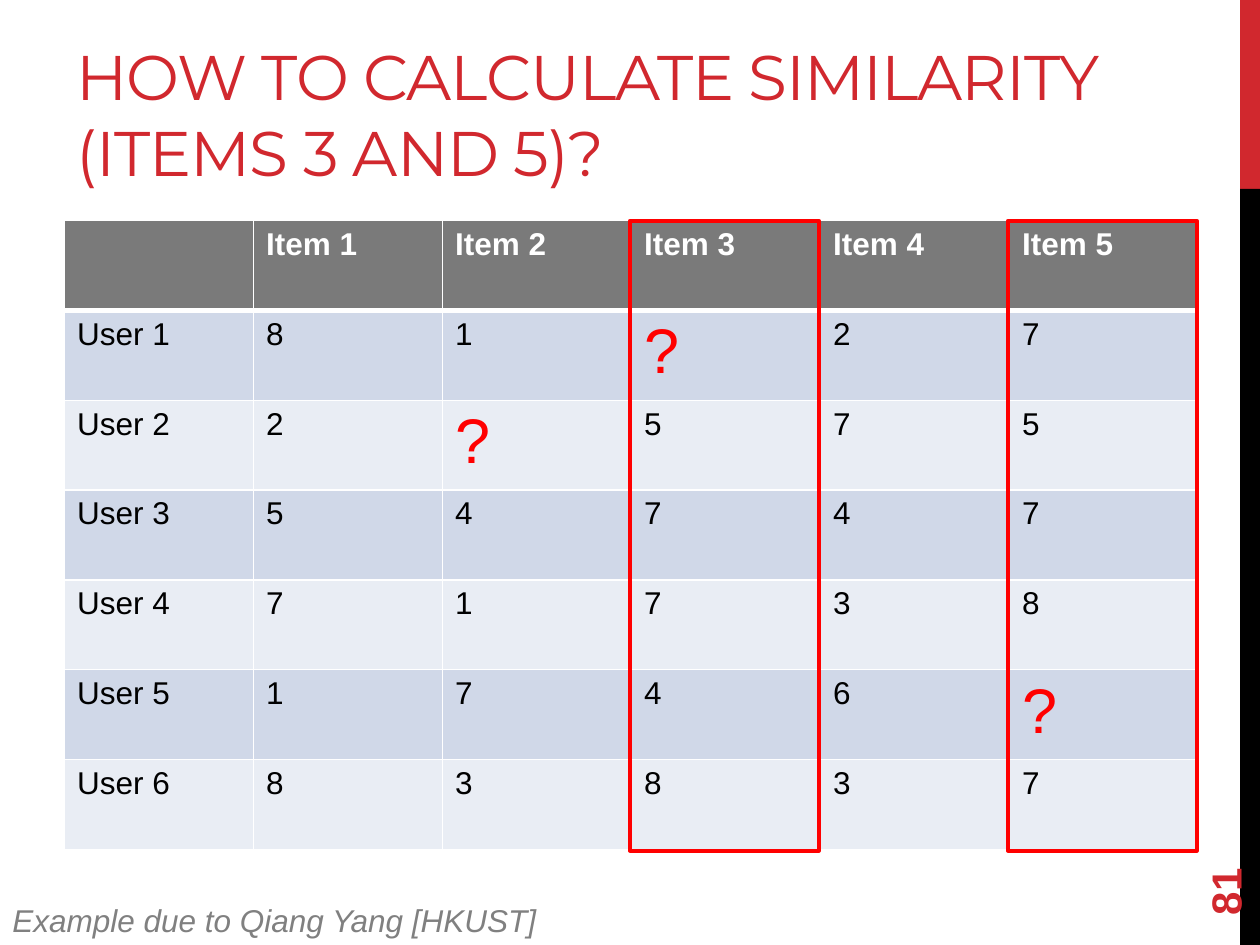
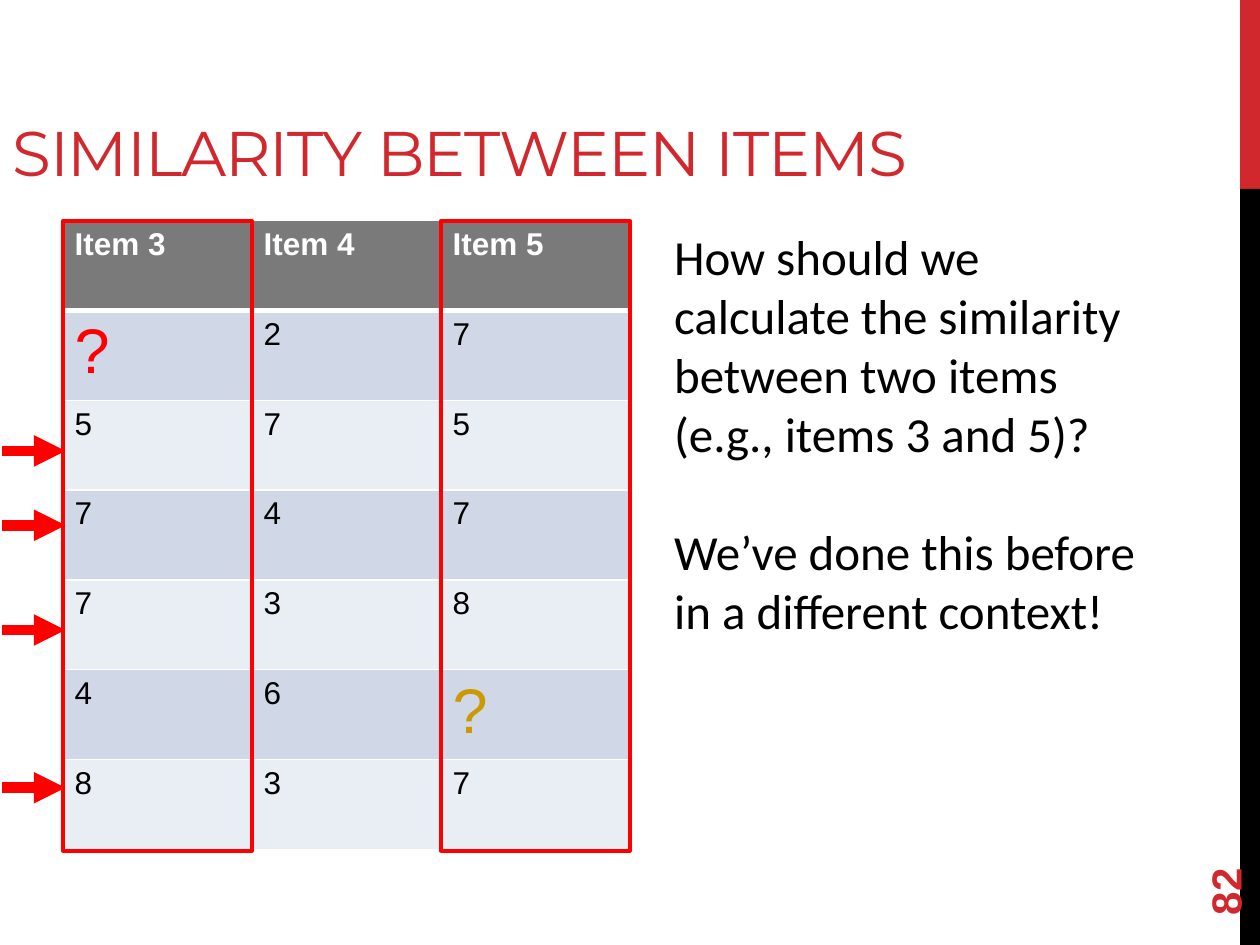
from pptx import Presentation
from pptx.dml.color import RGBColor
from pptx.enum.shapes import MSO_CONNECTOR, MSO_SHAPE
from pptx.enum.text import MSO_ANCHOR, MSO_AUTO_SIZE
from pptx.oxml.ns import qn
from pptx.util import Cm, Pt
from lxml import etree

STRAIGHT = MSO_CONNECTOR.STRAIGHT
RECTANGLE = MSO_SHAPE.RECTANGLE
TOP, MIDDLE, BOTTOM = MSO_ANCHOR.TOP, MSO_ANCHOR.MIDDLE, MSO_ANCHOR.BOTTOM
FIT_SHAPE = MSO_AUTO_SIZE.SHAPE_TO_FIT_TEXT

CRIMSON = RGBColor(0xD1, 0x28, 0x2E)
RED = RGBColor(0xFF, 0x00, 0x00)
GOLD = RGBColor(0xCC, 0x99, 0x00)
BLACK = RGBColor(0x00, 0x00, 0x00)
WHITE = RGBColor(0xFF, 0xFF, 0xFF)
GRAY = RGBColor(0x80, 0x80, 0x80)
HEADER_FILL = RGBColor(0x7A, 0x7A, 0x7A)
BAND_FILLS = RGBColor(0xE9, 0xED, 0xF4), RGBColor(0xD0, 0xD8, 0xE8)

TITLE = {"name": "Montserrat", "size": Pt(36), "color": CRIMSON}
NUMBER = {"name": "Arial", "size": Pt(24), "bold": True, "color": CRIMSON}
CAPTION = {"name": "Arial", "size": Pt(18), "italic": True, "color": GRAY}
BODY = {"name": "Calibri", "size": Pt(28), "color": BLACK}
CELL = {"name": "Arial", "size": Pt(18), "bold": False, "color": BLACK}
HEADER = {**CELL, "bold": True, "color": WHITE}
UNKNOWN = {**CELL, "size": Pt(36), "color": RED}

COLUMN_WIDTH = 3.81
ROW_HEIGHT = 1.81
TABLE_TOP = 4.45
FRAME_HEIGHT = 12.7
BAND_LEFT, BAND_WIDTH, BAND_SPLIT = 25.0, 0.4, 3.81
SLIDE_WIDTH, SLIDE_HEIGHT = 25.4, 19.05

RATINGS = [
    ["", "Item 1", "Item 2", "Item 3", "Item 4", "Item 5"],
    ["User 1", "8", "1", "?", "2", "7"],
    ["User 2", "2", "?", "5", "7", "5"],
    ["User 3", "5", "4", "7", "4", "7"],
    ["User 4", "7", "1", "7", "3", "8"],
    ["User 5", "1", "7", "4", "6", "?"],
    ["User 6", "8", "3", "8", "3", "7"],
]
SHARED_RATING_ARROWS = [9.09, 10.59, 12.7, 15.88]


def format_font(font, style):
    for attribute, value in style.items():
        if attribute == "color":
            font.color.rgb = value
        else:
            setattr(font, attribute, value)


def add_text(slide, box, paragraphs, style, anchor=TOP, wrap=True, gap=0):
    shape = slide.shapes.add_textbox(*map(Cm, box))
    frame = shape.text_frame
    frame.word_wrap = wrap
    frame.vertical_anchor = anchor
    for index, text in enumerate(paragraphs):
        paragraph = frame.paragraphs[0] if index == 0 else frame.add_paragraph()
        if index:
            paragraph.space_before = Pt(gap)
        run = paragraph.add_run()
        run.text = text
        format_font(run.font, style)
    return shape


def add_title(slide, left, text):
    shape = add_text(slide, (left, 0.76, 22.86, 3.18), [text], TITLE, BOTTOM)
    run = shape.text_frame.paragraphs[0].runs[0]
    run.font._element.set("spc", "-60")


def add_rectangle(slide, box, fill=None, line=None):
    shape = slide.shapes.add_shape(RECTANGLE, *map(Cm, box))
    shape.shadow.inherit = False
    if fill is None:
        shape.fill.background()
    else:
        shape.fill.solid()
        shape.fill.fore_color.rgb = fill
    if line is None:
        shape.line.fill.background()
    else:
        shape.line.color.rgb = line
        shape.line.width = Pt(2.25)


def add_column_frame(slide, left):
    add_rectangle(slide, (left, TABLE_TOP, COLUMN_WIDTH, FRAME_HEIGHT), line=RED)


def add_side_band(slide):
    add_rectangle(slide, (BAND_LEFT, 0, BAND_WIDTH, BAND_SPLIT), CRIMSON)
    add_rectangle(slide, (BAND_LEFT, BAND_SPLIT, BAND_WIDTH, SLIDE_HEIGHT - BAND_SPLIT), BLACK)


def add_slide_number(slide, number):
    shape = add_text(slide, (22.86, 16.36, 3.66, 1.02), [str(number)], NUMBER, MIDDLE)
    shape.rotation = 270


def set_cell_borders(cell, row):
    properties = cell._tc.get_or_add_tcPr()
    widths = {"lnL": 1, "lnR": 1, "lnT": 3 if row == 1 else 1, "lnB": 3 if row == 0 else 1}
    for side, points in widths.items():
        border = etree.SubElement(properties, qn(f"a:{side}"), w=str(Pt(points)))
        fill = etree.SubElement(border, qn("a:solidFill"))
        etree.SubElement(fill, qn("a:srgbClr"), val=str(WHITE))


def cell_style(row, text):
    if row == 0:
        return HEADER
    return UNKNOWN if text == "?" else CELL


def add_ratings_table(slide, left, ratings):
    rows, columns = len(ratings), len(ratings[0])
    box = (left, TABLE_TOP, columns * COLUMN_WIDTH, rows * ROW_HEIGHT)
    table = slide.shapes.add_table(rows, columns, *map(Cm, box)).table
    for row, texts in enumerate(ratings):
        for column, text in enumerate(texts):
            cell = table.cell(row, column)
            set_cell_borders(cell, row)
            cell.fill.solid()
            cell.fill.fore_color.rgb = BAND_FILLS[row % 2] if row else HEADER_FILL
            cell.text = text
            for run in cell.text_frame.paragraphs[0].runs:
                format_font(run.font, cell_style(row, text))
    return table


def add_arrow(slide, top):
    ends = (0.05, top, 1.32, top)
    connector = slide.shapes.add_connector(STRAIGHT, *map(Cm, ends))
    connector.line.color.rgb = RED
    connector.line.width = Pt(6)
    etree.SubElement(connector.line._get_or_add_ln(), qn("a:tailEnd"), type="triangle")
    etree.SubElement(connector._element.spPr, qn("a:effectLst"))


def add_base_slide(presentation, title, title_left, number):
    slide = presentation.slides.add_slide(presentation.slide_layouts[6])
    add_side_band(slide)
    add_title(slide, title_left, title)
    add_slide_number(slide, number)
    return slide


def build_question_slide(presentation):
    title = "HOW TO CALCULATE SIMILARITY (ITEMS 3 AND 5)?"
    slide = add_base_slide(presentation, title, 1.3, 81)
    add_ratings_table(slide, 1.3, RATINGS)
    for column in (3, 5):
        add_column_frame(slide, 1.27 + column * COLUMN_WIDTH)
    caption = add_text(slide, (0, 18.03, 11.18, 1.02),
                       ["Example due to Qiang Yang [HKUST]"], CAPTION, wrap=False)
    caption.text_frame.auto_size = FIT_SHAPE


def build_similarity_slide(presentation):
    slide = add_base_slide(presentation, "SIMILARITY BETWEEN ITEMS", 0, 82)
    table = add_ratings_table(slide, 1.25, [row[3:] for row in RATINGS])
    unknown_run = table.cell(5, 2).text_frame.paragraphs[0].runs[0]
    unknown_run.font.color.rgb = GOLD
    for column in (0, 2):
        add_column_frame(slide, 1.27 + column * COLUMN_WIDTH)
    body = add_text(slide, (13.34, TABLE_TOP, 9.96, 8.64), [
        "How should we calculate the similarity between two items (e.g., items 3 and 5)?",
        "We’ve done this before in a different context!",
    ], BODY, gap=34)
    body.text_frame.auto_size = FIT_SHAPE
    for top in SHARED_RATING_ARROWS:
        add_arrow(slide, top)


def main():
    presentation = Presentation()
    presentation.slide_width = Cm(SLIDE_WIDTH)
    presentation.slide_height = Cm(SLIDE_HEIGHT)
    build_question_slide(presentation)
    build_similarity_slide(presentation)
    presentation.save("out.pptx")


if __name__ == "__main__":
    main()
